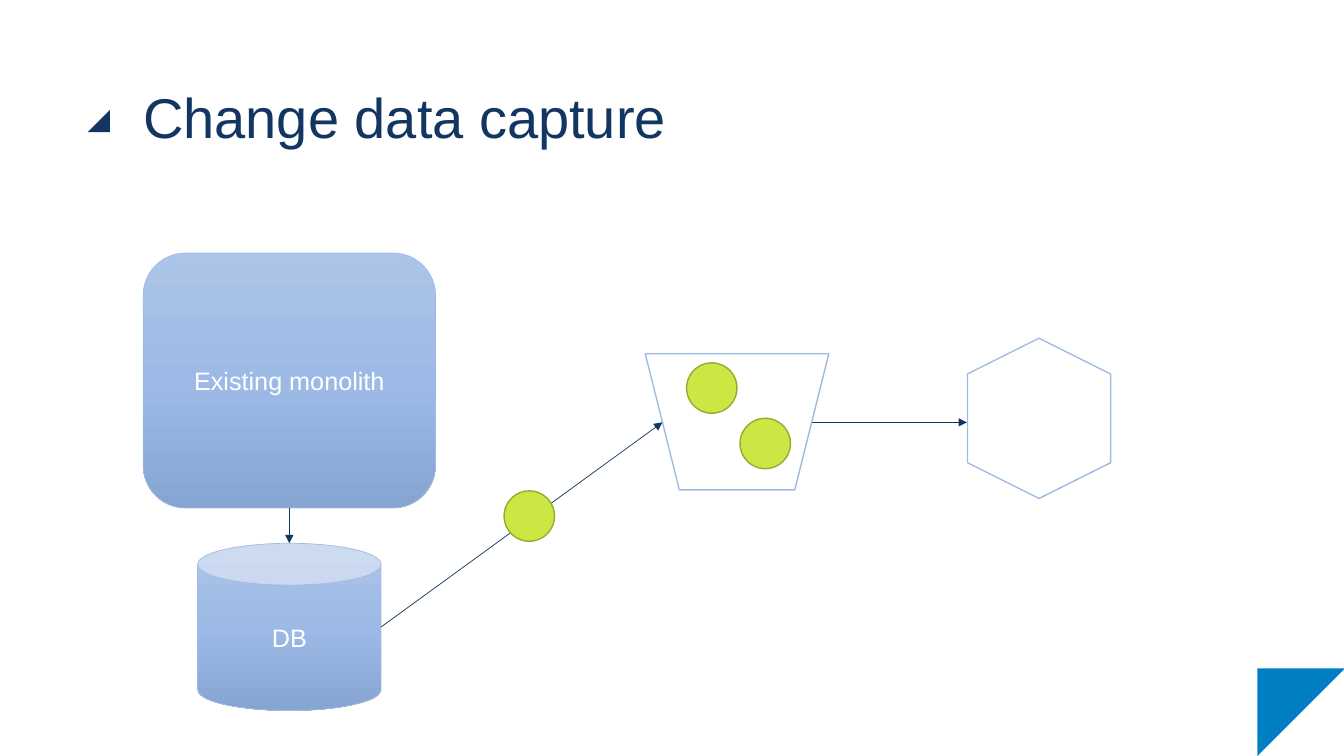
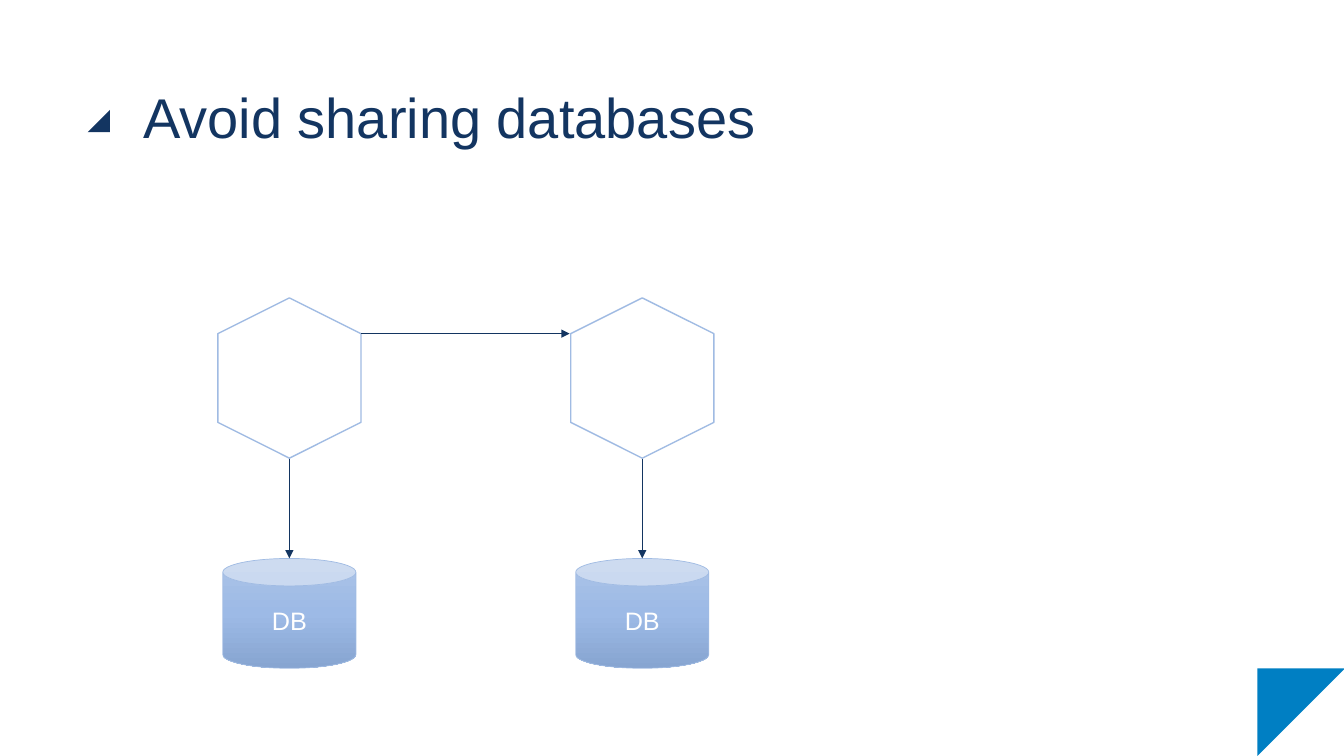
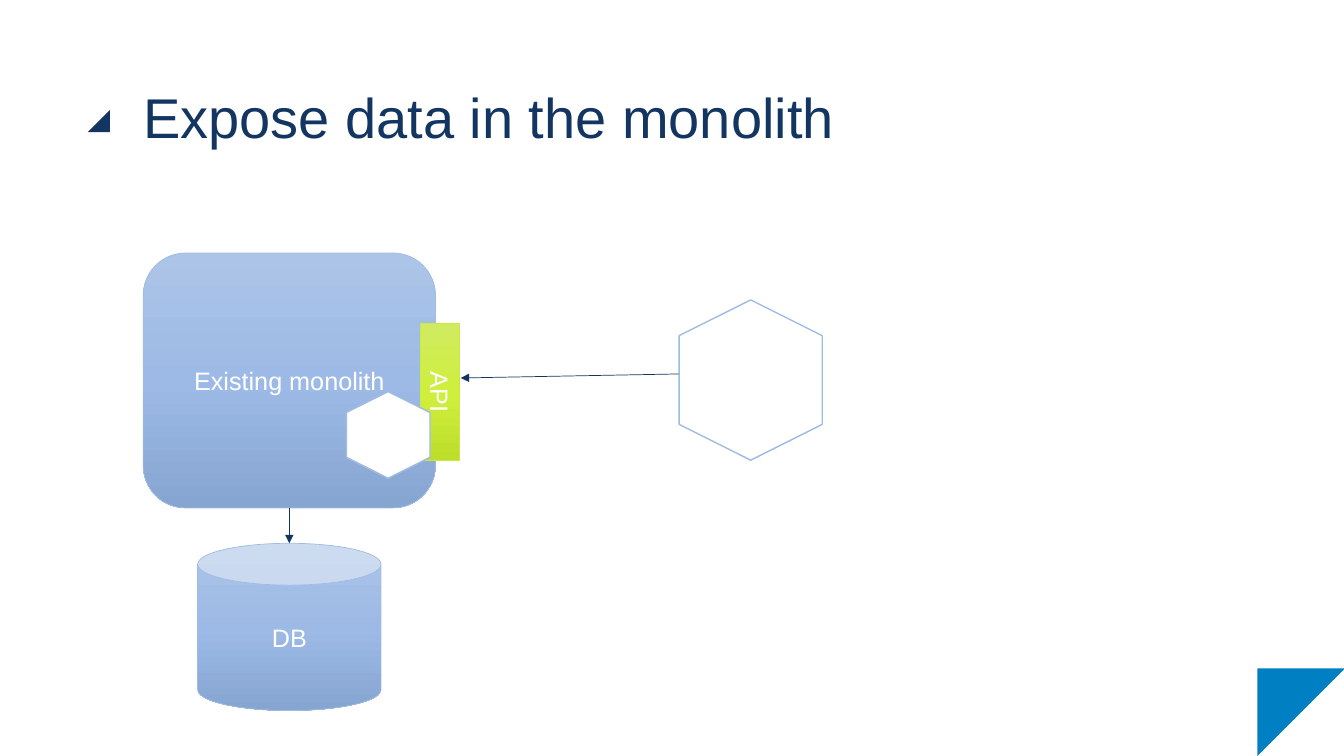
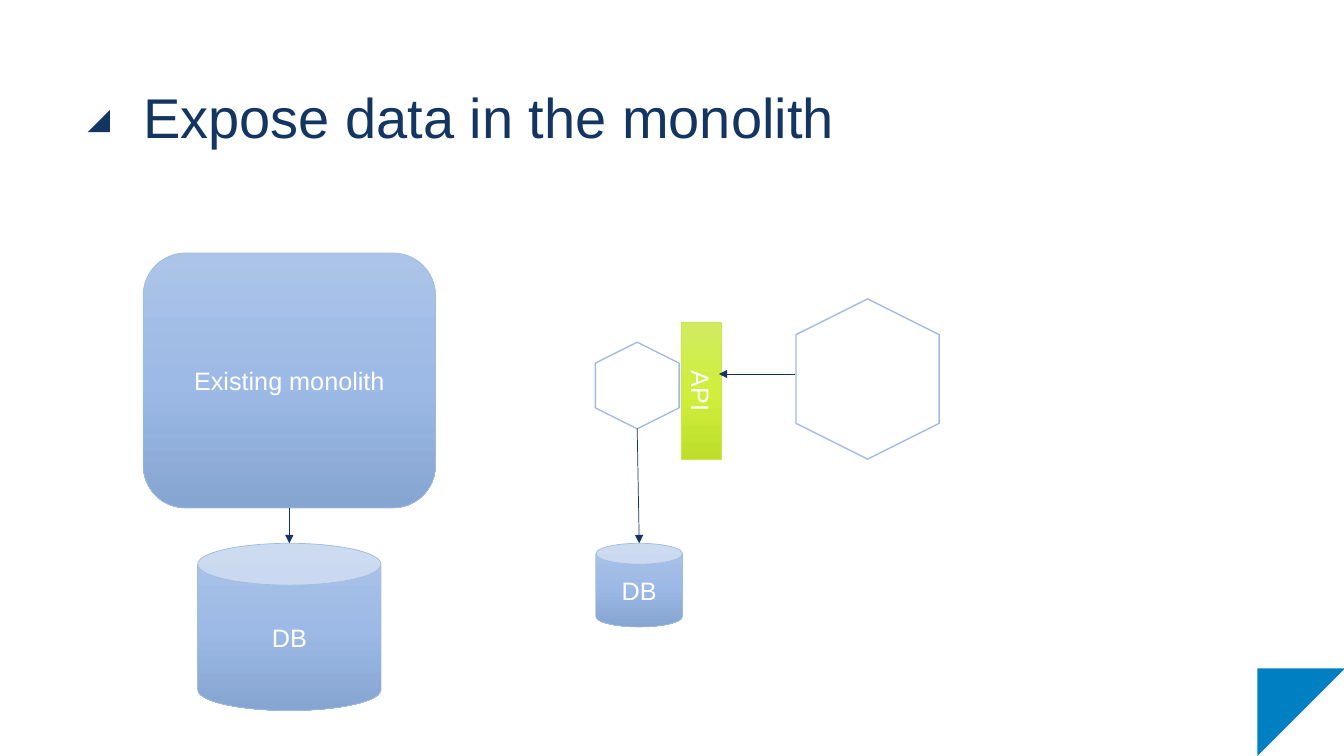
from copy import deepcopy

from lxml import etree
from pptx import Presentation
from pptx import util as u
from pptx.dml.color import RGBColor
from pptx.enum import shapes, text
from pptx.oxml.ns import qn

FONT = "Arial"
COLORS = {
    "navy": "133561", "corner": "007FC3", "white": "FFFFFF", "outline": "A0BBE3",
    "lime": "CAE744", "olive": "95AB32",
}
BLUE_FADE = ("ACC4E7", "9DBAE6", "87A5D1")
LIME_FADE = ("D0EB61", "CFEF3C", "BEDE2C")

# kind: preset, fill (one colour or a fade), line colour, line width, rotation
G = shapes.MSO_SHAPE
STYLES = {
    "box": (G.ROUNDED_RECTANGLE, BLUE_FADE, "outline", 0.5, 0),
    "db": (G.CAN, BLUE_FADE, "outline", 0.5, 0),
    "api": (G.RECTANGLE, LIME_FADE, "lime", 0.5, 0),
    "service": (G.HEXAGON, "white", "outline", 1, 90),
    "queue": (G.TRAPEZOID, "white", "outline", 1, 180),
    "event": (G.OVAL, "lime", "olive", 1, 0),
}
LARGE, SMALL = (1.59, 1.42), (0.86, 0.83)
DB, EVENT, API = (1.32, 1.09), (0.5, 0.5), (0.39, 1.36)

# Content: nodes are (kind, (left, top), size, label); arrows are ("arrow", from, to)
MONOLITH = [
    ("box", (1.42, 2.51), (2.9, 2.53), "Existing monolith"),
    ("db", (1.96, 5.39), (1.82, 1.66), "DB"),
    ("arrow", "Existing monolith", (2.87, 5.39)),
]
SLIDES = [
    ("Change data capture", MONOLITH + [
        ("service", (9.51, 3.44), LARGE, ""),
        ("arrow", (8.05, 4.19), (9.59, 4.19)),
        ("queue", (6.4, 3.51), (1.82, 1.35), ""),
        ("event", (6.81, 3.6), EVENT, ""),
        ("event", (7.34, 4.15), EVENT, ""),
        ("arrow", (3.78, 6.22), (6.57, 4.19)),
        ("event", (5, 4.87), EVENT, ""),
    ]),
    ("Avoid sharing databases", [
        item for x in (2.87, 6.37) for item in (
            ("db", (x - DB[0] / 2, 5.54), DB, "DB"),
            ("service", (x - LARGE[0] / 2, 3.04), LARGE, ""),
            ("arrow", (x, 4.55), (x, 5.54)),
        )
    ] + [("arrow", (3.58, 3.31), (5.65, 3.31))]),
    ("Expose data in the monolith", MONOLITH + [
        ("service", (6.65, 3.06), LARGE, ""),
        ("api", (4.17, 3.21), API, "API"),
        ("arrow", (6.73, 3.71), (4.57, 3.75)),
        ("service", (3.42, 3.9), SMALL, ""),
    ]),
    ("Expose data in the monolith", MONOLITH + [
        ("service", (7.81, 3.05), LARGE, ""),
        ("api", (6.76, 3.2), API, "API"),
        ("arrow", (7.89, 3.71), (7.13, 3.71)),
        ("service", (5.89, 3.41), SMALL, ""),
        ("db", (5.91, 5.39), SMALL, "DB"),
        ("arrow", (6.32, 4.25), (6.34, 5.39)),
    ]),
]


def rgb(name):
    return RGBColor.from_string(COLORS.get(name, name))


def inches(*values):
    return [u.Inches(v) for v in values]


def paint(sp, fill):
    """Fill with one colour, or with a top-to-bottom fade."""
    if isinstance(fill, str):
        sp.fill.solid()
        sp.fill.fore_color.rgb = rgb(fill)
        return
    sp.fill.gradient()
    sp.fill.gradient_angle = 270
    stops = sp._element.spPr.find(".//" + qn("a:gsLst"))
    stops.append(deepcopy(stops[-1]))
    for i, (stop, color) in enumerate(zip(sp.fill.gradient_stops, fill)):
        stop.position = i / (len(fill) - 1)
        stop.color.rgb = rgb(color)


def add_run(p, words, size, color):
    r = p.add_run()
    r.text = words
    r.font.name, r.font.size = FONT, u.Pt(size)
    r.font.color.rgb = rgb(color)


def add_shape(slide, preset, box, fill, rotation=0):
    sp = slide.shapes.add_shape(preset, *inches(*box))
    sp.shadow.inherit = False
    sp.rotation = rotation
    paint(sp, fill)
    sp.line.fill.background()
    return sp


def add_node(slide, kind, at, size, label):
    preset, fill, line, width, rotation = STYLES[kind]
    sp = add_shape(slide, preset, at + size, fill, rotation)
    sp.line.color.rgb, sp.line.width = rgb(line), u.Pt(width)
    if label:
        tf = sp.text_frame
        tf.vertical_anchor = text.MSO_ANCHOR.MIDDLE
        if kind == "api":
            tf._txBody.bodyPr.set("vert", "vert")
        p = tf.paragraphs[0]
        p.alignment = text.PP_ALIGN.CENTER
        add_run(p, label, 18, "white")
    return sp


def add_arrow(slide, start, end, nodes):
    """Start at a point, or at the bottom of the node with that label."""
    node = nodes.get(start) if isinstance(start, str) else None
    begin = end if node else start
    cn = slide.shapes.add_connector(shapes.MSO_CONNECTOR.STRAIGHT, *inches(*begin, *end))
    if node:
        cn.begin_connect(node, 2)
    cn.line.color.rgb, cn.line.width = rgb("navy"), u.Pt(0.5)
    etree.SubElement(cn.line._get_or_add_ln(), qn("a:tailEnd"), type="triangle")
    etree.SubElement(cn._element.spPr, qn("a:effectLst"))


def add_frame(slide, title):
    """Corner marks and title shared by every slide."""
    mark = add_shape(slide, G.RIGHT_TRIANGLE, (0.87, 1.09, 0.22, 0.22), "navy")
    mark._element.spPr.xfrm.set("flipH", "1")
    add_shape(slide, G.RIGHT_TRIANGLE, (12.47, 6.63, 0.87, 0.87), "corner", 90)
    tf = slide.shapes.add_textbox(*inches(1.42, 0.79, 10.79, 1.42)).text_frame
    tf.word_wrap = True
    tf.margin_left = tf.margin_top = tf.margin_right = tf.margin_bottom = 0
    p = tf.paragraphs[0]
    p.line_spacing = 1.05
    add_run(p, title, 40, "navy")


def main():
    prs = Presentation()
    prs.slide_width, prs.slide_height = inches(13.33, 7.5)
    for title, items in SLIDES:
        slide = prs.slides.add_slide(prs.slide_layouts[6])
        add_frame(slide, title)
        nodes = {}
        for kind, *parts in items:
            if kind == "arrow":
                add_arrow(slide, *parts, nodes)
            else:
                nodes[parts[-1]] = add_node(slide, kind, *parts)
    prs.save("out.pptx")


if __name__ == "__main__":
    main()
